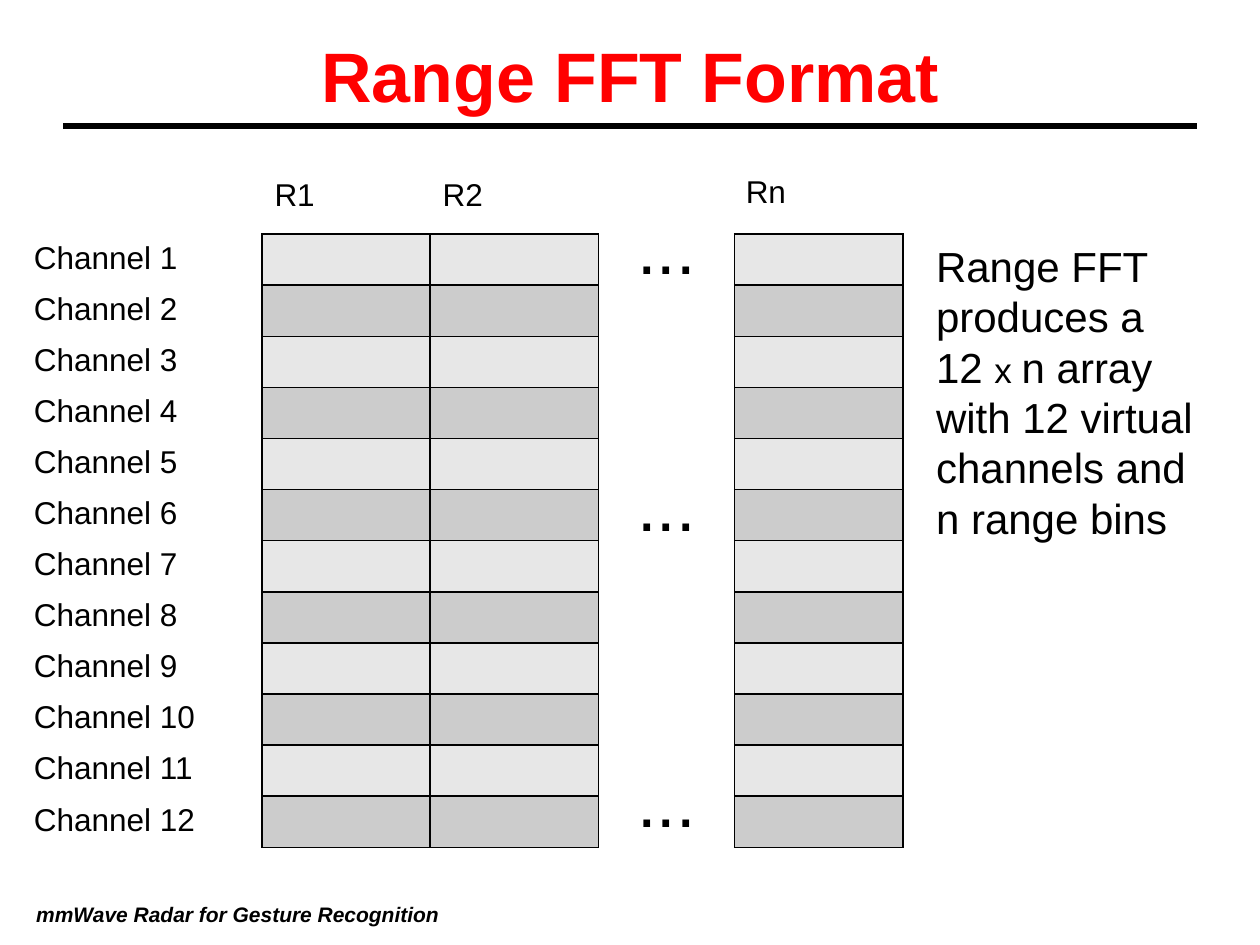
"""Build the Range FFT Format slide."""
from lxml import etree
from pptx import Presentation
from pptx.dml.color import RGBColor
from pptx.enum.shapes import MSO_CONNECTOR
from pptx.enum.text import MSO_ANCHOR, PP_ALIGN
from pptx.oxml.ns import qn
from pptx.util import Cm, Pt

LINE = MSO_CONNECTOR.STRAIGHT
TOP, MIDDLE = MSO_ANCHOR.TOP, MSO_ANCHOR.MIDDLE
LEFT, CENTER = PP_ALIGN.LEFT, PP_ALIGN.CENTER
COLORS = {"black": "000000", "white": "FFFFFF", "red": "FF0000",
          "light": "E7E7E7", "dark": "CCCCCC"}
ROWS = 12
ROW = 1.03
COL = 3.39
GRID_TOP = 4.72


def add_run(para, text, size, color="black", bold=False, italic=False):
    run = para.add_run()
    run.text = text
    font = run.font
    font.name = "Arial"
    font.size = Pt(size)
    font.bold = bold
    font.italic = italic
    font.color.rgb = RGBColor.from_string(COLORS[color])


def add_grid(left, top, width, texts, fills, edge):
    count, cols = len(texts), len(texts[0])
    frame = slide.shapes.add_table(count, cols, Cm(left), Cm(top),
                                   Cm(width * cols), Cm(ROW * count))
    table = frame.table
    table.first_row = False
    table.horz_banding = False
    for col in table.columns:
        col.width = Cm(width)
    for r, words in enumerate(texts):
        table.rows[r].height = Cm(ROW)
        for c, word in enumerate(words):
            cell = table.cell(r, c)
            cell.fill.solid()
            cell.fill.fore_color.rgb = RGBColor.from_string(COLORS[fills[r % len(fills)]])
            if word:
                add_run(cell.text_frame.paragraphs[0], word, 18)
            props = cell._tc.get_or_add_tcPr()
            for i, side in enumerate("LRTB"):
                thick = 3 if edge == "white" and side == "B" and r == 0 else 1
                border = etree.Element(qn("a:ln" + side), w=str(Pt(thick)))
                solid = etree.SubElement(border, qn("a:solidFill"))
                etree.SubElement(solid, qn("a:srgbClr"), val=COLORS[edge])
                props.insert(i, border)


deck = Presentation()
deck.slide_width = Cm(25.4)
deck.slide_height = Cm(19.05)
slide = deck.slides.add_slide(deck.slide_layouts[6])

rule = slide.shapes.add_connector(LINE, Cm(1.27), Cm(2.54), Cm(24.13), Cm(2.54))
rule.line.color.rgb = RGBColor.from_string(COLORS["black"])
rule.line.width = Pt(4)
etree.SubElement(rule._element.spPr, qn("a:effectLst"))

title = [("Range FFT Format", 40, "red", True)]
foot = [("mmWave Radar for Gesture Recognition", 12, "black", True, True)]
note = [("Range FFT produces a 12 ", 24), ("x ", 20),
        ("n array with 12 virtual channels and n range bins", 24)]
dots = [("...", 40)]
boxes = [
    (0.64, -0.08, 24.13, 3.18, MIDDLE, CENTER, 0, title),
    (0.48, 17.91, 12.27, 1.02, MIDDLE, LEFT, 0, foot),
    (18.62, GRID_TOP, 5.72, 12.37, TOP, LEFT, 4.8, note),
]
for top in (3.99, 9.17, 15.14):
    boxes.append((12.6, top, 2.77, 1.96, TOP, LEFT, 0, dots))
for left, top, width, height, anchor, align, space, runs in boxes:
    box = slide.shapes.add_textbox(Cm(left), Cm(top), Cm(width), Cm(height))
    body = box.text_frame
    body.word_wrap = True
    body.vertical_anchor = anchor
    para = body.paragraphs[0]
    para.alignment = align
    para.space_before = Pt(space)
    for run in runs:
        add_run(para, *run)

names = [[f"Channel {n}"] for n in range(1, ROWS + 1)]
bands = ["light", "dark"]
add_grid(5.28, GRID_TOP, COL, [["", ""]] * ROWS, bands, "black")
add_grid(14.81, GRID_TOP, COL, [[""]] * ROWS, bands, "black")
add_grid(0.43, GRID_TOP, 4.01, names, ["white"], "white")
add_grid(5.28, 3.45, COL, [["R1", "R2"]], ["white"], "white")
add_grid(14.78, 3.4, COL, [["Rn"]], ["white"], "white")

deck.save("out.pptx")
